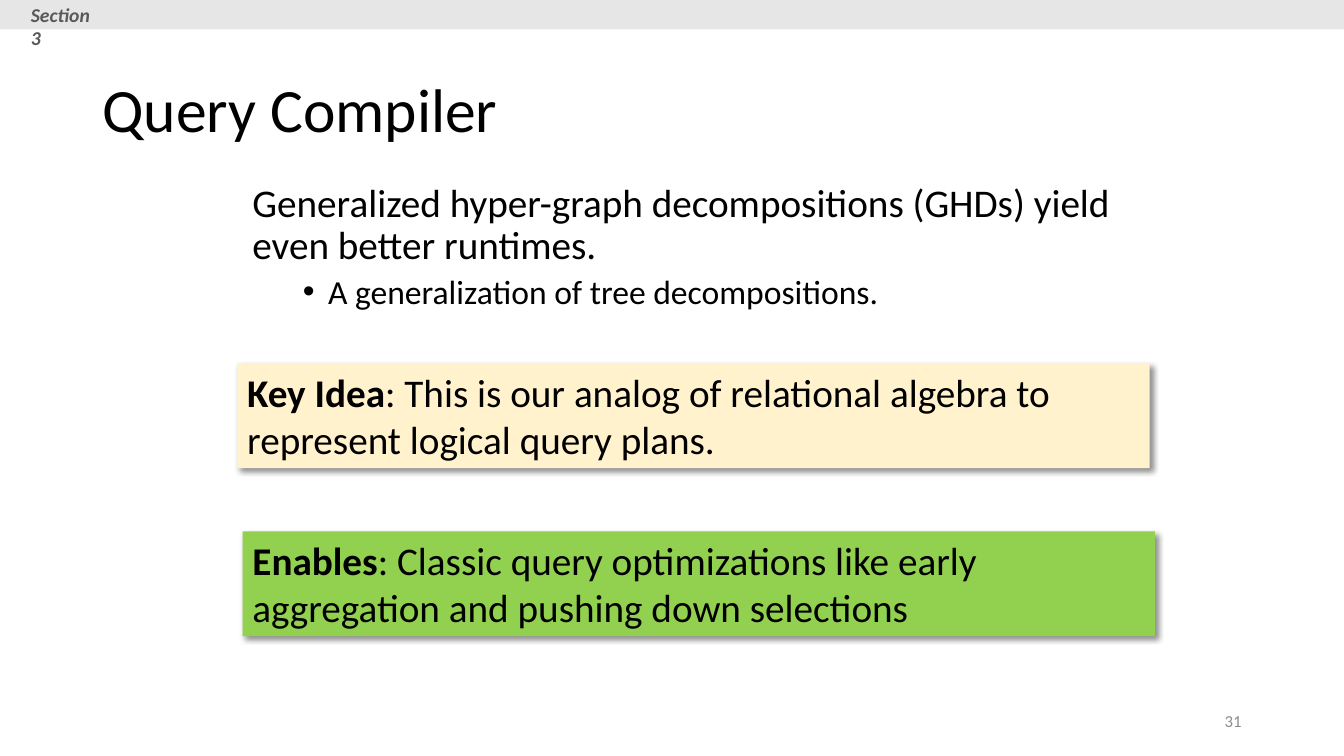
from lxml.etree import SubElement
from pptx import Presentation
from pptx.dml.color import RGBColor
from pptx.enum.shapes import MSO_SHAPE
from pptx.enum.text import MSO_ANCHOR, MSO_AUTO_SIZE, PP_ALIGN
from pptx.oxml import parse_xml
from pptx.oxml.ns import nsdecls, qn
from pptx.util import Pt

SCALE = 9525
FONT = "Calibri"
BLACK = RGBColor(0, 0, 0)
DARK = RGBColor(0x59, 0x59, 0x59)
GRAY = RGBColor(0x8C, 0x8C, 0x8C)
PALE = RGBColor(0xE7, 0xE6, 0xE6)
CREAM = RGBColor(0xFF, 0xF2, 0xCC)
GREEN = RGBColor(0x92, 0xD0, 0x50)


def px(*sizes):
    return [size * SCALE for size in sizes]


def write(para, text, size=28, color=BLACK, bold=False, italic=False,
          align=PP_ALIGN.LEFT, line=None, before=None):
    para.alignment = align
    if line:
        para.line_spacing = line
    if before:
        para.space_before = Pt(before)
    run = para.add_run()
    run.text = text
    font = run.font
    font.name, font.size, font.color.rgb = FONT, Pt(size), color
    font.bold, font.italic = bold, italic


def add_title(slide, text, box):
    title = slide.shapes.title
    title.left, title.top, title.width, title.height = px(*box)
    frame = title.text_frame
    frame.auto_size = MSO_AUTO_SIZE.NONE
    frame.vertical_anchor = MSO_ANCHOR.MIDDLE
    write(frame.paragraphs[0], text, size=44, line=0.9)


def add_text(slide, box, anchor=MSO_ANCHOR.TOP):
    frame = slide.shapes.add_textbox(*px(*box)).text_frame
    frame.word_wrap = True
    frame.vertical_anchor = anchor
    return frame


def add_rect(slide, box, fill):
    rect = slide.shapes.add_shape(MSO_SHAPE.RECTANGLE, *px(*box))
    rect.shadow.inherit = False
    rect.fill.solid()
    rect.fill.fore_color.rgb = fill
    rect.line.fill.background()
    return rect


def add_shadow(shape):
    effects = shape._element.spPr.find(qn("a:effectLst"))
    effects.append(parse_xml(
        f'<a:outerShdw {nsdecls("a")} blurRad="{Pt(4)}" dist="{Pt(3)}" '
        'dir="2700000" algn="tl" rotWithShape="0"><a:srgbClr val="000000">'
        '<a:alpha val="43000"/></a:srgbClr></a:outerShdw>'))


def add_note(slide, box, fill, label, text):
    note = add_rect(slide, box, fill)
    add_shadow(note)
    frame = note.text_frame
    frame.word_wrap = True
    frame.vertical_anchor = MSO_ANCHOR.TOP
    para = frame.paragraphs[0]
    write(para, label, bold=True)
    write(para, text)


def add_bullet(para, left, hang):
    para.level = 1
    props = para._p.get_or_add_pPr()
    props.set("marL", str(left * SCALE))
    props.set("indent", str(-hang * SCALE))
    SubElement(props, qn("a:buFont"), typeface="Arial")
    SubElement(props, qn("a:buChar"), char="•")


def main():
    deck = Presentation()
    deck.slide_width, deck.slide_height = px(1280, 720)
    slide = deck.slides.add_slide(deck.slide_layouts[5])
    add_title(slide, "Query Compiler", (88, 38, 1104, 139))

    number = add_text(slide, (904, 667, 288, 38), MSO_ANCHOR.MIDDLE)
    write(number.paragraphs[0], "31", size=12, color=GRAY,
          align=PP_ALIGN.RIGHT)

    add_rect(slide, (0, 0, 1280, 28), PALE)
    section = add_text(slide, (20, -2, 88, 33))
    write(section.paragraphs[0], "Section 3", size=14, color=DARK,
          bold=True, italic=True)

    body = add_text(slide, (231, 170, 874, 319))
    write(body.paragraphs[0], "Generalized hyper-graph decompositions "
          "(GHDs) yield even better runtimes.", line=0.9)
    point = body.add_paragraph()
    add_bullet(point, 72, 24)
    write(point, "A generalization of tree decompositions.", size=24,
          line=0.9, before=5)

    add_note(slide, (226, 346, 869, 100), CREAM, "Key Idea",
             ": This is our analog of relational algebra to represent "
             "logical query plans.")
    add_note(slide, (231, 506, 869, 100), GREEN, "Enables",
             ": Classic query optimizations like early aggregation and "
             "pushing down selections")
    deck.save("out.pptx")


if __name__ == "__main__":
    main()
